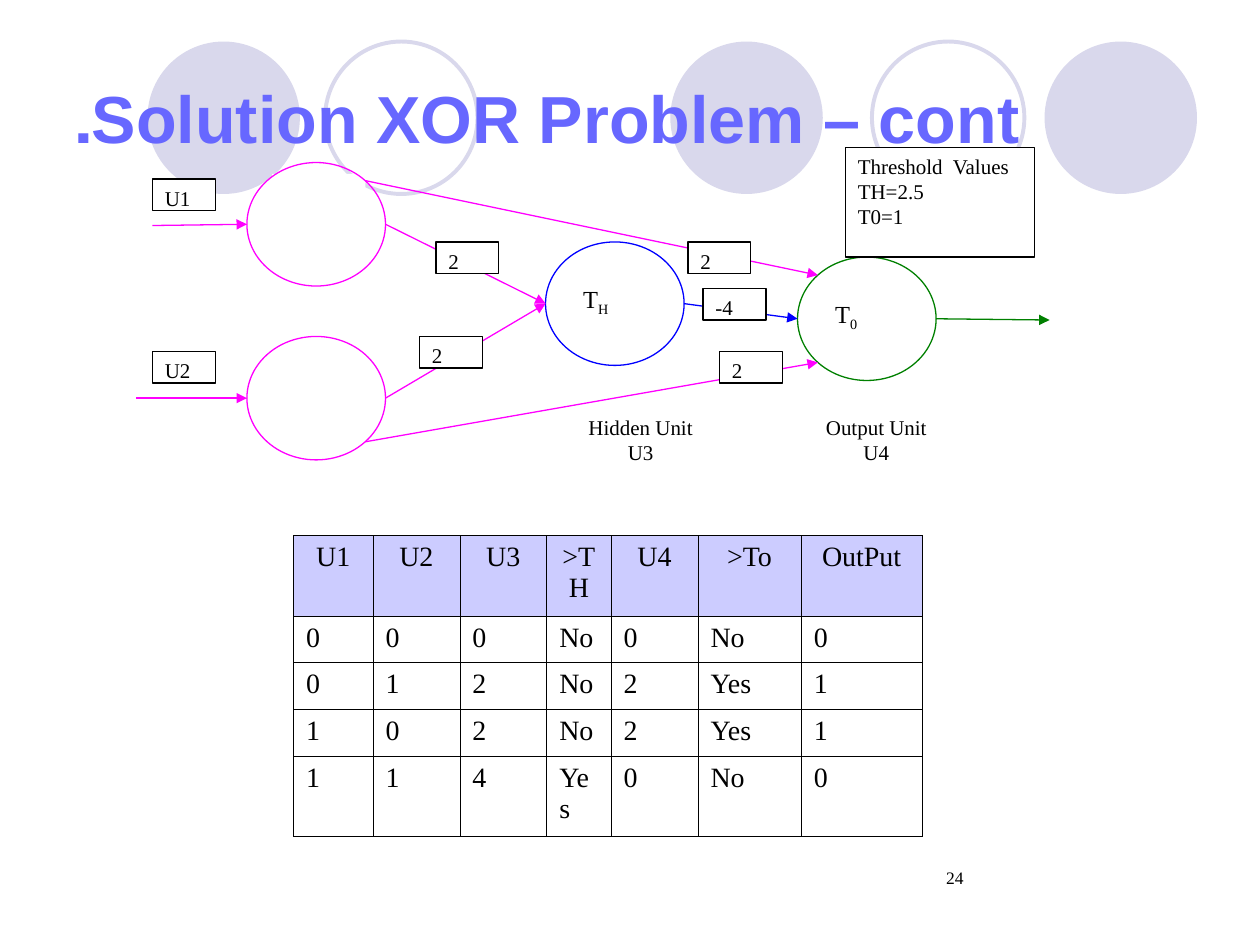
from dataclasses import dataclass
from math import sqrt

from lxml.etree import SubElement
from pptx import Presentation
from pptx.dml.color import RGBColor
from pptx.enum.shapes import MSO_CONNECTOR, MSO_SHAPE
from pptx.enum.text import MSO_ANCHOR, PP_ALIGN
from pptx.oxml.ns import qn
from pptx.util import Inches, Pt


@dataclass(frozen=True)
class Theme:
    title: str = "6767FF"
    ring: str = "D9D8EC"
    header: str = "CCCCFF"
    ink: str = "000000"
    paper: str = "FFFFFF"
    input: str = "FF00FF"
    hidden: str = "0000FF"
    output: str = "008000"
    heading_font: str = "Arial"
    body_font: str = "Times New Roman"
    title_size: int = 38
    table_size: int = 16
    node_size: int = 14
    label_size: int = 12
    number_size: int = 10


T = Theme()


def write(tf, text, size=T.label_size, color=T.ink, font=T.body_font, bold=False,
          align=PP_ALIGN.LEFT, anchor=MSO_ANCHOR.TOP, insets=(0.1, 0.05), sub=""):
    """Fill a text frame, one paragraph per line; sub is a trailing subscript."""
    tf.word_wrap = True
    tf.vertical_anchor = anchor
    tf.margin_left, tf.margin_top = map(Inches, insets)
    for i, line in enumerate(text.split("\n")):
        p = tf.paragraphs[0] if i == 0 else tf.add_paragraph()
        p.alignment = align
        for part in filter(None, (line, sub)):
            r = p.add_run()
            r.text = part
            r.font.size, r.font.name, r.font.bold = Pt(size), font, bold
            r.font.color.rgb = RGBColor.from_string(color)
        if sub:
            r.font._element.set("baseline", "-25000")


def add_shape(kind, x, y, w, h, fill=None, line=None, width=0.75):
    sp = slide.shapes.add_shape(kind, Inches(x), Inches(y), Inches(w), Inches(h))
    sp.shadow.inherit = False
    if fill:
        sp.fill.solid()
        sp.fill.fore_color.rgb = RGBColor.from_string(fill)
    else:
        sp.fill.background()
    if line:
        sp.line.color.rgb = RGBColor.from_string(line)
        sp.line.width = Pt(width)
    else:
        sp.line.fill.background()
    return sp


prs = Presentation()
prs.slide_width, prs.slide_height = Inches(10), Inches(7.5)
slide = prs.slides.add_slide(prs.slide_layouts[6])

# Background circles
for x in (5.32, 8.29, 1.17):
    add_shape(MSO_SHAPE.OVAL, x, 0.33, 1.21, 1.21, fill=T.ring)
for x in (6.92, 2.58):
    add_shape(MSO_SHAPE.OVAL, x, 0.33, 1.21, 1.21, line=T.ring, width=2.25)

# Title, set right to left
title = slide.shapes.add_textbox(Inches(0.5), Inches(0.3), Inches(9), Inches(1.25))
write(title.text_frame, "Solution XOR Problem – cont.", size=T.title_size, color=T.title,
      font=T.heading_font, bold=True, anchor=MSO_ANCHOR.MIDDLE)
title.text_frame.paragraphs[0]._p.get_or_add_pPr().set("rtl", "1")

# Network nodes: centre, colour, threshold subscript
NODE_W, NODE_H = 1.1, 0.98
nodes = {
    "U1": (2.51, 1.78, T.input, ""),
    "U3": (4.88, 2.41, T.hidden, "H"),
    "U2": (2.51, 3.16, T.input, ""),
    "U4": (6.88, 2.53, T.output, "0"),
}
anchors = {}
for name, (cx, cy, color, sub) in nodes.items():
    core = add_shape(MSO_SHAPE.RECTANGLE, cx - 0.35, cy - 0.4, 0.74, 0.78, fill=T.paper)
    if sub:
        write(core.text_frame, "T", size=T.node_size, sub=sub, insets=(0.1, 0.24))
    add_shape(MSO_SHAPE.OVAL, cx - NODE_W / 2, cy - NODE_H / 2, NODE_W, NODE_H, line=color)
    dx, dy = NODE_W / 2, NODE_H / 2
    diag_x, diag_y = dx / sqrt(2), dy / sqrt(2)
    anchors[name] = {
        "left": (cx - dx, cy), "right": (cx + dx, cy),
        "top left": (cx - diag_x, cy - diag_y), "top right": (cx + diag_x, cy - diag_y),
        "bottom left": (cx - diag_x, cy + diag_y), "bottom right": (cx + diag_x, cy + diag_y),
    }

arrows = [
    ((1.21, 1.79), anchors["U1"]["left"], T.input),
    ((1.08, 3.16), anchors["U2"]["left"], T.input),
    (anchors["U1"]["right"], anchors["U3"]["left"], T.input),
    (anchors["U2"]["right"], anchors["U3"]["left"], T.input),
    (anchors["U1"]["top right"], anchors["U4"]["top left"], T.input),
    (anchors["U2"]["bottom right"], anchors["U4"]["bottom left"], T.input),
    (anchors["U3"]["right"], anchors["U4"]["left"], T.hidden),
    (anchors["U4"]["right"], (8.33, 2.54), T.output),
]
for start, end, color in arrows:
    arrow = slide.shapes.add_connector(MSO_CONNECTOR.STRAIGHT, *map(Inches, start + end))
    arrow.line.color.rgb = RGBColor.from_string(color)
    arrow.line.width = Pt(0.75)
    SubElement(arrow.line._get_or_add_ln(), qn("a:tailEnd"), type="triangle")
    SubElement(arrow._element.spPr, qn("a:effectLst"))

# Input names and weights
for text, x, y in [("U1", 1.21, 1.42), ("U2", 1.21, 2.79), ("2", 3.33, 2.67), ("2", 3.46, 1.92),
                   ("2", 5.46, 1.92), ("-4", 5.58, 2.29), ("2", 5.71, 2.79)]:
    label = add_shape(MSO_SHAPE.RECTANGLE, x, y, 0.5, 0.25, fill=T.paper, line=T.ink)
    write(label.text_frame, text)

thresholds = add_shape(MSO_SHAPE.RECTANGLE, 6.71, 1.17, 1.5, 0.87, fill=T.paper, line=T.ink)
write(thresholds.text_frame, "Threshold  Values\nTH=2.5\nT0=1")

for text, x in [("Hidden Unit\nU3", 4.46), ("Output Unit\nU4", 6.33)]:
    caption = add_shape(MSO_SHAPE.RECTANGLE, x, 3.29, 1.25, 0.37, fill=T.paper)
    caption.text_frame.margin_right = caption.text_frame.margin_bottom = 0
    write(caption.text_frame, text, align=PP_ALIGN.CENTER, insets=(0, 0))

# Truth table
rows = [
    ["U1", "U2", "U3", ">TH", "U4", ">To", "OutPut"],
    ["0", "0", "0", "No", "0", "No", "0"],
    ["0", "1", "2", "No", "2", "Yes", "1"],
    ["1", "0", "2", "No", "2", "Yes", "1"],
    ["1", "1", "4", "Yes", "0", "No", "0"],
]
col_widths = [0.63, 0.69, 0.69, 0.51, 0.69, 0.82, 0.96]
row_heights = [0.64, 0.37, 0.37, 0.37, 0.64]
table = slide.shapes.add_table(len(rows), len(col_widths), Inches(2.33), Inches(4.25),
                               Inches(sum(col_widths)), Inches(sum(row_heights))).table
for col, w in zip(table.columns, col_widths):
    col.width = Inches(w)
for row, h in zip(table.rows, row_heights):
    row.height = Inches(h)
for i, values in enumerate(rows):
    for j, value in enumerate(values):
        cell = table.cell(i, j)
        write(cell.text_frame, value, size=T.table_size,
              align=PP_ALIGN.LEFT if i else PP_ALIGN.CENTER)
        tc_pr = cell._tc.get_or_add_tcPr()
        for side in ("lnL", "lnR", "lnT", "lnB"):
            ln = SubElement(tc_pr, qn(f"a:{side}"), w=str(Pt(0.45)))
            SubElement(SubElement(ln, qn("a:solidFill")), qn("a:srgbClr"), val=T.ink)
        if i == 0:
            cell.fill.solid()
            cell.fill.fore_color.rgb = RGBColor.from_string(T.header)
        else:
            cell.fill.background()

number = slide.shapes.add_textbox(Inches(7.17), Inches(6.83), Inches(2.33), Inches(0.5))
write(number.text_frame, "24", size=T.number_size, insets=(0.34, 0.05))

prs.save("out.pptx")
